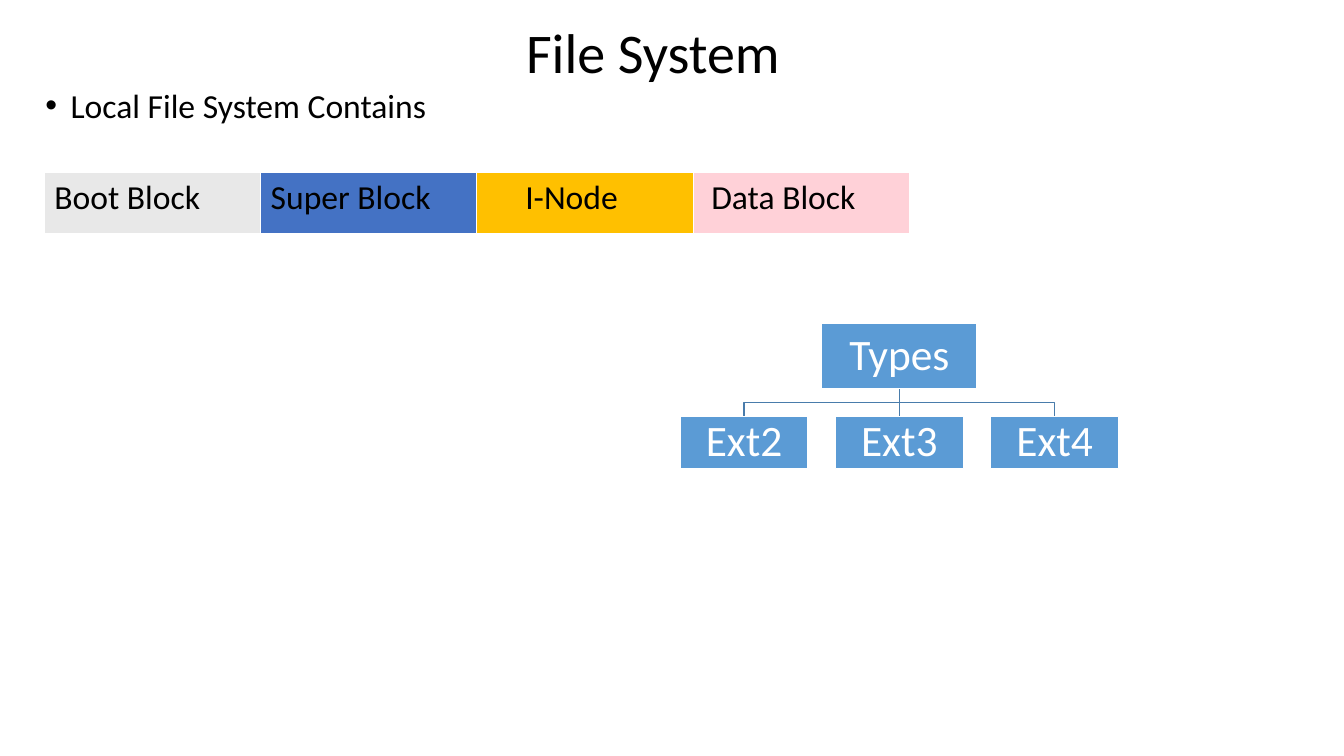
from lxml.etree import SubElement
from pptx import Presentation
from pptx.dml.color import RGBColor
from pptx.enum.shapes import MSO_CONNECTOR as Connector, MSO_SHAPE as Shape
from pptx.enum.text import MSO_ANCHOR as Anchor, PP_ALIGN as Align
from pptx.oxml import parse_xml
from pptx.oxml.ns import nsdecls, qn
from pptx.util import Inches, Pt

TITLE = "File System"
BULLET = "Local File System Contains"
# Text, fill, left margin in inches
BLOCKS = [
    ("Boot Block", "E8E8E8", 0.1),
    ("Super Block", "4472C4", 0.1),
    ("I-Node", "FFC000", 0.48),
    ("Data Block", "FFD1D8", 0.18),
]
ROOT = "Types"
TYPES = ["Ext2", "Ext3", "Ext4"]

WIDTH, HEIGHT = 13.33, 7.5
BLACK, WHITE, BLUE, LINK = "000000", "FFFFFF", "5B9BD5", "497CAB"
BLOCK_WIDTH, BLOCK_HEIGHT = 2.145, 0.62
TREE_CENTER, ROOT_TOP, LEAF_TOP = 8.92, 3.21, 4.13
ROOT_SIZE, LEAF_SIZE, LEAF_PITCH = (1.54, 0.65), (1.27, 0.52), 1.54


def color(value):
    return RGBColor.from_string(value)


def write(frame, text, size=24, ink=BLACK, align=Align.LEFT, anchor=Anchor.TOP,
          margin=None, spacing=1.0):
    frame.word_wrap = True
    frame.vertical_anchor = anchor
    if margin is not None:
        frame.margin_left = frame.margin_right = Inches(margin)
        frame.margin_top = frame.margin_bottom = Inches(margin)
    para = frame.paragraphs[0]
    para.alignment = align
    para.line_spacing = spacing
    span = para.add_run()
    span.text = text
    span.font.name = "Calibri"
    span.font.size = Pt(size)
    span.font.color.rgb = color(ink)
    return para


def add_text_box(slide, left, top, width, height, text, **style):
    box = slide.shapes.add_textbox(*map(Inches, (left, top, width, height)))
    return write(box.text_frame, text, **style)


def add_bullet(para, indent):
    props = para._p.get_or_add_pPr()
    props.set("marL", str(Inches(indent)))
    props.set("indent", str(-Inches(indent)))
    SubElement(props, qn("a:buFont"), typeface="Arial")
    SubElement(props, qn("a:buChar"), char="•")


def add_borders(cell):
    """White cell edges, thicker at the bottom; they precede the fill in the XML."""
    props = cell._tc.get_or_add_tcPr()
    for place, (side, points) in enumerate([("L", 1), ("R", 1), ("T", 1), ("B", 3)]):
        props.insert(place, parse_xml(
            f'<a:ln{side} {nsdecls("a")} w="{Pt(points)}"><a:solidFill>'
            f'<a:srgbClr val="{WHITE}"/></a:solidFill></a:ln{side}>'))


def add_block_table(slide, left, top):
    table = slide.shapes.add_table(
        1, len(BLOCKS), Inches(left), Inches(top),
        Inches(BLOCK_WIDTH * len(BLOCKS)), Inches(BLOCK_HEIGHT)).table
    for column, (text, fill, margin) in enumerate(BLOCKS):
        table.columns[column].width = Inches(BLOCK_WIDTH)
        cell = table.cell(0, column)
        cell.fill.solid()
        cell.fill.fore_color.rgb = color(fill)
        cell.margin_left = Inches(margin)
        write(cell.text_frame, text)
        add_borders(cell)


def add_node(slide, center, top, size, text):
    width, height = size
    node = slide.shapes.add_shape(
        Shape.RECTANGLE, *map(Inches, (center - width / 2, top, width, height)))
    node.shadow.inherit = False
    node.fill.solid()
    node.fill.fore_color.rgb = color(BLUE)
    node.line.color.rgb = color(WHITE)
    node.line.width = Pt(1)
    write(node.text_frame, text, size=31, ink=WHITE, align=Align.CENTER,
          anchor=Anchor.MIDDLE, margin=0.02, spacing=0.9)
    return node


def add_link(slide, root, leaf):
    """Straight connector to a leaf below the root, else a line with two bends."""
    start = (root.left + root.width // 2, root.top + root.height)
    end = (leaf.left + leaf.width // 2, leaf.top)
    if abs(start[0] - end[0]) < Inches(0.02):
        link = slide.shapes.add_connector(Connector.STRAIGHT, *start, *end)
        link.begin_connect(root, 2)
        link.end_connect(leaf, 0)
        SubElement(link._element.spPr, qn("a:effectLst"))
    else:
        middle = (start[1] + end[1]) // 2
        builder = slide.shapes.build_freeform(*start)
        builder.add_line_segments(
            [(start[0], middle), (end[0], middle), end], close=False)
        link = builder.convert_to_shape()
        link.fill.background()
        link.shadow.inherit = False
    link.line.color.rgb = color(LINK)
    link.line.width = Pt(1)


def add_tree(slide):
    root = add_node(slide, TREE_CENTER, ROOT_TOP, ROOT_SIZE, ROOT)
    for place, text in enumerate(TYPES):
        center = TREE_CENTER + (place - (len(TYPES) - 1) / 2) * LEAF_PITCH
        add_link(slide, root, add_node(slide, center, LEAF_TOP, LEAF_SIZE, text))


def main():
    deck = Presentation()
    deck.slide_width, deck.slide_height = Inches(WIDTH), Inches(HEIGHT)
    slide = deck.slides.add_slide(deck.slide_layouts[6])
    add_text_box(slide, 0.45, 0.08, 12.05, 0.94, TITLE, size=40,
                 align=Align.CENTER, anchor=Anchor.MIDDLE, spacing=0.9)
    bullet = add_text_box(slide, 0.45, 0.84, 12.44, 5.83, BULLET, margin=0)
    bullet.space_before = Pt(10)
    add_bullet(bullet, 0.25)
    add_block_table(slide, 0.44, 1.71)
    add_tree(slide)
    deck.save("out.pptx")


if __name__ == "__main__":
    main()
